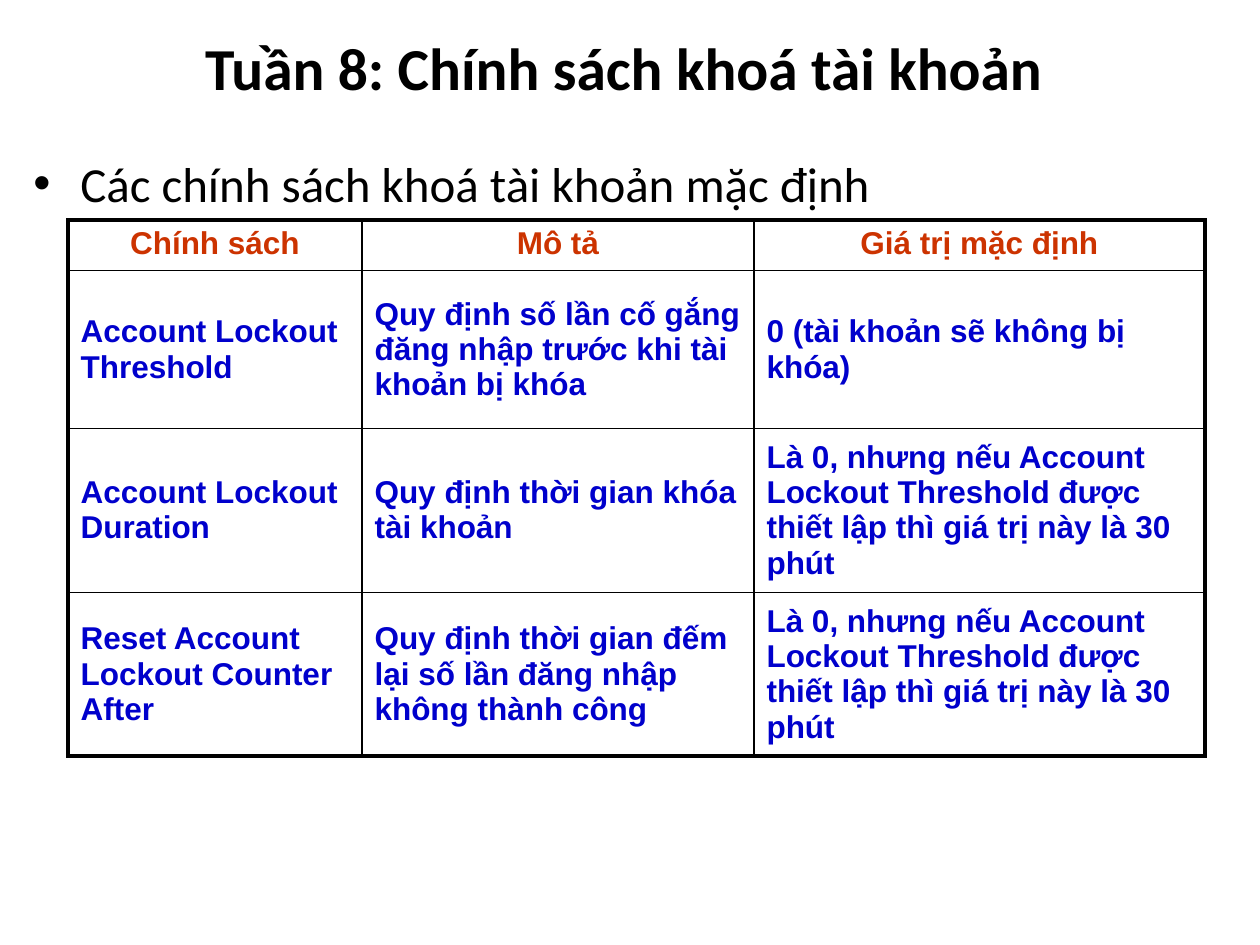
from lxml import etree
from pptx import Presentation
from pptx.dml.color import RGBColor
from pptx.enum.text import MSO_ANCHOR, PP_ALIGN
from pptx.oxml.ns import qn
from pptx.util import Emu, Pt

EMU_PER_PX = 914400 / 126
TOP, MIDDLE = MSO_ANCHOR.TOP, MSO_ANCHOR.MIDDLE
LEFT, CENTER = PP_ALIGN.LEFT, PP_ALIGN.CENTER
BLACK, RED, BLUE = "000000", "CC3300", "0000CC"
THIN, THICK = 1, 2.25

COLUMN_WIDTHS = [294, 392, 451]
ROW_HEIGHTS = [48, 158, 157, 155]
LOCKED_DEFAULT = (
    "Là 0, nhưng nếu Account Lockout Threshold được thiết lập thì giá trị này là 30 phút"
)
POLICIES = [
    ["Chính sách", "Mô tả", "Giá trị mặc định"],
    [
        "Account Lockout Threshold",
        "Quy định số lần cố gắng đăng nhập trước khi tài khoản bị khóa",
        "0 (tài khoản sẽ không bị khóa)",
    ],
    ["Account Lockout Duration", "Quy định thời gian khóa tài khoản", LOCKED_DEFAULT],
    [
        "Reset Account Lockout Counter After",
        "Quy định thời gian đếm lại số lần đăng nhập không thành công",
        LOCKED_DEFAULT,
    ],
]


def px(length):
    """Turn pixels into EMU."""
    return Emu(round(length * EMU_PER_PX))


def rgb(value):
    """Turn a hex string into a colour."""
    return RGBColor.from_string(value)


def write(frame, text, *, size, font="Calibri", color=BLACK, bold=False,
          align=LEFT, bullet_indent=0):
    """Put one formatted paragraph into a text frame."""
    frame.word_wrap = True
    paragraph = frame.paragraphs[0]
    paragraph.alignment = align
    if bullet_indent:
        properties = paragraph._p.get_or_add_pPr()
        properties.set("marL", str(px(bullet_indent)))
        properties.set("indent", str(-px(bullet_indent)))
        etree.SubElement(properties, qn("a:buFont"), typeface="Arial")
        etree.SubElement(properties, qn("a:buChar"), char="•")
    run = paragraph.add_run()
    run.text = text
    run.font.name = font
    run.font.size = Pt(size)
    run.font.bold = bold
    run.font.color.rgb = rgb(color)


def add_text(slide, text, left, top, width, height, *, anchor=TOP, **style):
    """Add a text box holding one paragraph."""
    frame = slide.shapes.add_textbox(px(left), px(top), px(width), px(height)).text_frame
    frame.vertical_anchor = anchor
    write(frame, text, **style)


def set_borders(cell, widths):
    """Draw solid black cell borders, given a width for each side."""
    properties = cell._tc.get_or_add_tcPr()
    for side, width in widths.items():
        line = etree.SubElement(properties, qn(f"a:ln{side}"), w=str(Pt(width)))
        fill = etree.SubElement(line, qn("a:solidFill"))
        etree.SubElement(fill, qn("a:srgbClr"), val=BLACK)


def add_policy_table(slide, left, top):
    """Add the policy table with a thick outer frame and thin inner lines."""
    last_row, last_column = len(ROW_HEIGHTS) - 1, len(COLUMN_WIDTHS) - 1
    table = slide.shapes.add_table(
        len(ROW_HEIGHTS), len(COLUMN_WIDTHS), px(left), px(top),
        px(sum(COLUMN_WIDTHS)), px(sum(ROW_HEIGHTS)),
    ).table
    table.first_row = table.horz_banding = False
    for column, width in zip(table.columns, COLUMN_WIDTHS):
        column.width = px(width)
    for r, (height, policy) in enumerate(zip(ROW_HEIGHTS, POLICIES)):
        table.rows[r].height = px(height)
        header = r == 0
        for c, text in enumerate(policy):
            cell = table.cell(r, c)
            set_borders(cell, {
                "L": THICK if c == 0 else THIN,
                "R": THICK if c == last_column else THIN,
                "T": THICK if header else THIN,
                "B": THICK if r == last_row else THIN,
            })
            cell.fill.background()
            cell.vertical_anchor = TOP if header else MIDDLE
            write(cell.text_frame, text, size=18, font="Arial", bold=True,
                  color=RED if header else BLUE, align=CENTER if header else LEFT)


def main():
    """Build the slide and save it."""
    deck = Presentation()
    deck.slide_width, deck.slide_height = px(1260), px(945)
    slide = deck.slides.add_slide(deck.slide_layouts[6])
    add_text(slide, "Tuần 8: Chính sách khoá tài khoản ", 158, 9, 945, 116,
             anchor=MIDDLE, size=34, bold=True, align=CENTER)
    add_text(slide, "Các chính sách khoá tài khoản mặc định", 21, 147, 1218, 136,
             size=28, bullet_indent=47)
    add_policy_table(slide, 68, 220)
    deck.save("out.pptx")


if __name__ == "__main__":
    main()
